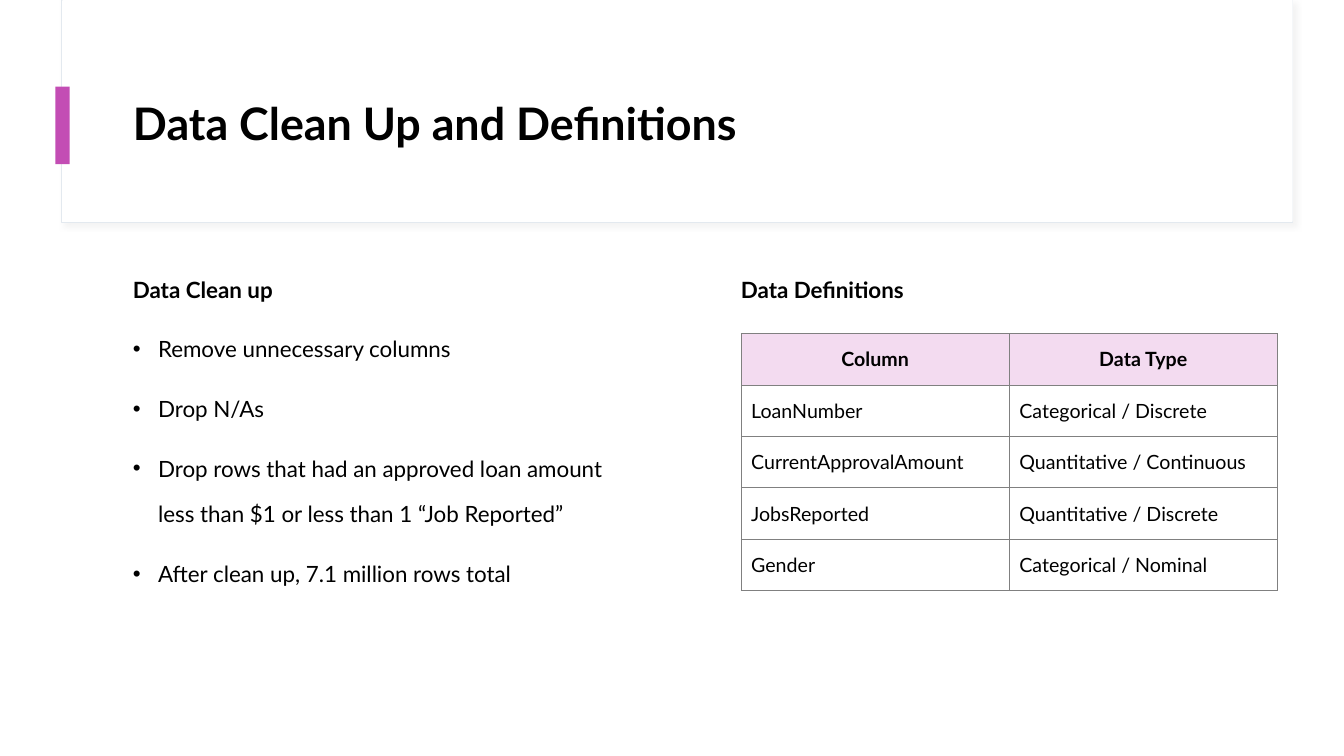
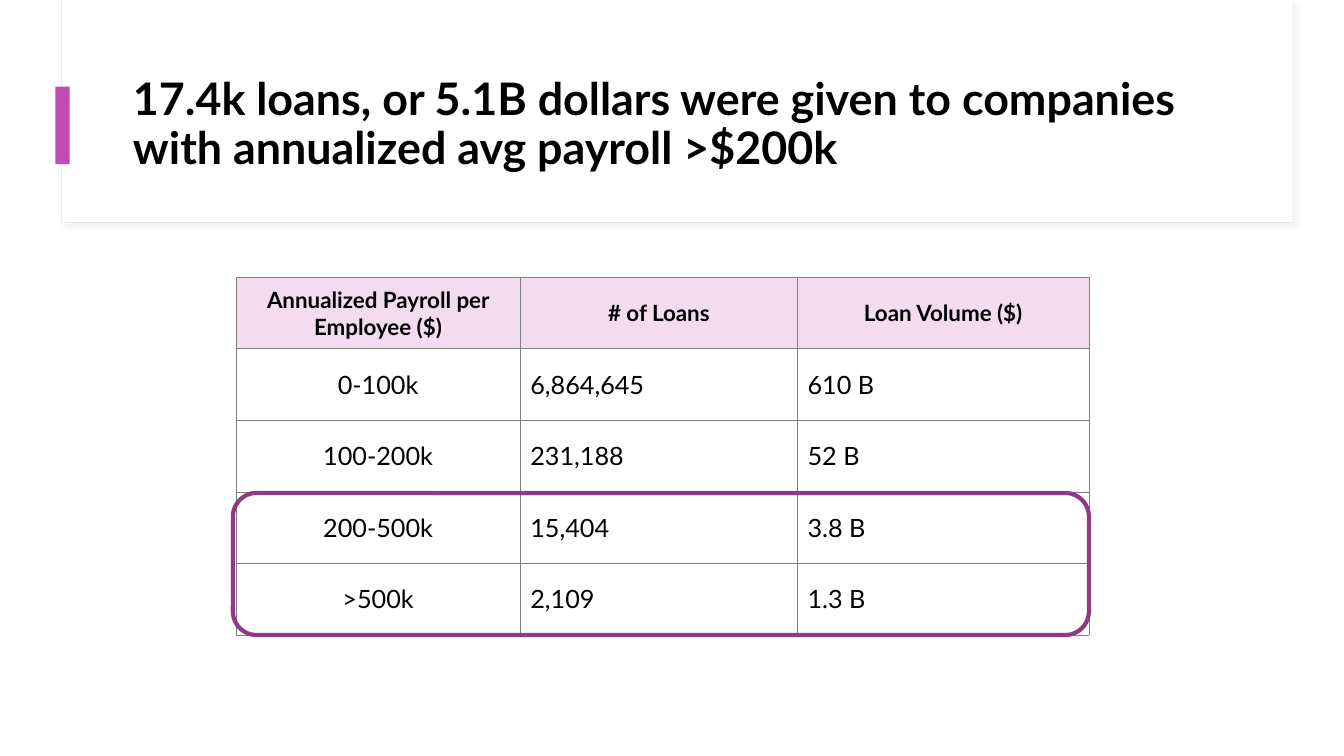
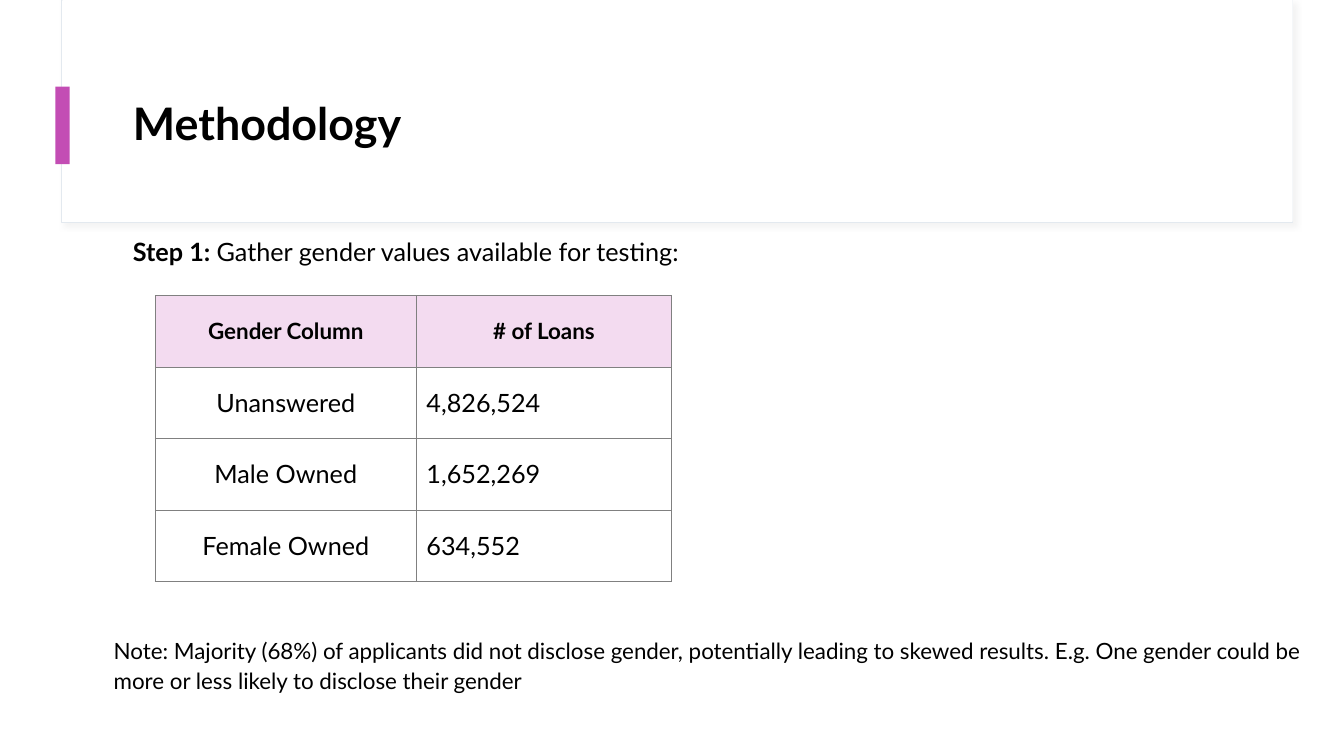
"""Build three slides on loan data: clean up, payroll bands and methodology."""
import dataclasses
import pptx
import pptx.util
import pptx.dml.color
import pptx.enum.shapes
import pptx.enum.text
import pptx.oxml
import pptx.oxml.ns

Inches, Pt = pptx.util.Inches, pptx.util.Pt
Shape = pptx.enum.shapes.MSO_SHAPE
Align = pptx.enum.text.PP_ALIGN
Anchor = pptx.enum.text.MSO_ANCHOR


@dataclasses.dataclass(frozen=True)
class Theme:
    font: str = "Lato"
    ink: str = "000000"
    paper: str = "FFFFFF"
    edge: str = "E3E9EF"
    shade: str = "D9D9D9"
    accent: str = "C34DB4"
    head: str = "F3DBF0"
    grid: str = "808080"
    ring: str = "903985"
    title: int = 32
    large: int = 18
    text: int = 16
    small: int = 14


THEME = Theme()

CLEAN = {
    "title": "Data Clean Up and Definitions",
    "left": "Data Clean up",
    "right": "Data Definitions",
    "items": [
        "Remove unnecessary columns",
        "Drop N/As",
        "Drop rows that had an approved loan amount less than $1 or less than 1 “Job Reported”",
        "After clean up, 7.1 million rows total",
    ],
    "rows": [
        ("Column", "Data Type"),
        ("LoanNumber", "Categorical / Discrete"),
        ("CurrentApprovalAmount", "Quantitative / Continuous"),
        ("JobsReported", "Quantitative / Discrete"),
        ("Gender", "Categorical / Nominal"),
    ],
}
PAYROLL = {
    "title": "17.4k loans, or 5.1B dollars were given to companies with annualized avg payroll >$200k",
    "rows": [
        ("Annualized Payroll per Employee ($)", "# of Loans", "Loan Volume ($)"),
        ("0-100k", "6,864,645", "610 B"),
        ("100-200k", "231,188", "52 B"),
        ("200-500k", "15,404", "3.8 B"),
        (">500k", "2,109", "1.3 B"),
    ],
}
METHOD = {
    "title": "Methodology",
    "step": [("Step 1: ", True), ("Gather gender values available for testing:", False)],
    "rows": [
        ("Gender Column", "# of Loans"),
        ("Unanswered", "4,826,524"),
        ("Male Owned", "1,652,269"),
        ("Female Owned", "634,552"),
    ],
    "note": "Note: Majority (68%) of applicants did not disclose gender, potentially leading to "
            "skewed results. E.g. One gender could be more or less likely to disclose their gender",
}


def color(code):
    return pptx.dml.color.RGBColor.from_string(code)


def node(xml):
    return pptx.oxml.parse_xml(xml.replace(">", f" {pptx.oxml.ns.nsdecls('a')}>", 1))


def write(para, runs, size):
    for text, bold in runs:
        run = para.add_run()
        run.text = text
        font = run.font
        font.name, font.size, font.bold = THEME.font, Pt(size), bold
        font.color.rgb = color(THEME.ink)


def say(slide, box, paras, size, lead, gap=0, anchor=Anchor.TOP):
    frame = slide.shapes.add_textbox(*map(Inches, box)).text_frame
    frame.word_wrap = True
    frame.vertical_anchor = anchor
    for num, (runs, dot) in enumerate(paras):
        para = frame.add_paragraph() if num else frame.paragraphs[0]
        para.line_spacing = lead
        para.space_before = Pt(gap)
        write(para, runs, size)
        if dot:
            props = para._p.get_or_add_pPr()
            props.set("marL", str(Inches(0.25)))
            props.set("indent", str(Inches(-0.25)))
            props.append(node('<a:buFont typeface="Arial"/>'.replace("/>", "></a:buFont>")))
            props.append(node('<a:buChar char="•"></a:buChar>'))


def block(slide, box, fill=None, line=None, width=0.75, kind=Shape.RECTANGLE):
    item = slide.shapes.add_shape(kind, *map(Inches, box))
    item.shadow.inherit = False
    if fill:
        item.fill.solid()
        item.fill.fore_color.rgb = color(fill)
    else:
        item.fill.background()
    if line:
        item.line.color.rgb = color(line)
        item.line.width = Pt(width)
    else:
        item.line.fill.background()
    return item


def start(deck, title):
    slide = deck.slides.add_slide(deck.slide_layouts[6])
    panel = block(slide, (0.61, 0, 12.21, 2.21), THEME.paper, THEME.edge)
    glow = node(
        f'<a:outerShdw blurRad="{Pt(4)}" dist="{Pt(3)}" dir="2700000" algn="tl" rotWithShape="0">'
        f'<a:srgbClr val="{THEME.shade}"><a:alpha val="30000"/></a:srgbClr></a:outerShdw>')
    panel._element.spPr.find(pptx.oxml.ns.qn("a:effectLst")).append(glow)
    block(slide, (0.62, 0, 12.2, 2.2), THEME.paper)
    block(slide, (0.55, 0.86, 0.14, 0.77), THEME.accent)
    say(slide, (1.22, 0.6, 11.12, 1.29), [([(title, True)], False)],
        THEME.title, 0.9, anchor=Anchor.MIDDLE)
    return slide


def rule(cell):
    props = cell._tc.get_or_add_tcPr()
    for side in "LRTB":
        props.append(node(
            f'<a:ln{side} w="{Pt(0.5)}"><a:solidFill><a:srgbClr val="{THEME.grid}"/>'
            f'</a:solidFill></a:ln{side}>'))


def grid(slide, spot, rows, cols, high, sizes, first):
    left, top = spot
    table = slide.shapes.add_table(
        len(rows), len(cols), Inches(left), Inches(top),
        Inches(sum(cols)), Inches(high * len(rows))).table
    table.first_row = table.horz_banding = False
    for col, wide in zip(table.columns, cols):
        col.width = Inches(wide)
    for y, row in enumerate(rows):
        table.rows[y].height = Inches(high)
        for x, text in enumerate(row):
            cell = table.cell(y, x)
            rule(cell)
            mid = y == 0 or (x == 0 and first == Align.CENTER)
            cell.vertical_anchor = Anchor.MIDDLE
            cell.margin_left = Inches(0.1)
            cell.margin_right = Inches(0.1 if mid else 0.07)
            cell.margin_top = cell.margin_bottom = Inches(0.05)
            if y:
                cell.fill.background()
            else:
                cell.fill.solid()
                cell.fill.fore_color.rgb = color(THEME.head)
            para = cell.text_frame.paragraphs[0]
            para.alignment = Align.CENTER if mid else Align.LEFT
            write(para, [(text, y == 0)], sizes[min(y, 1)])


def clean(deck):
    slide = start(deck, CLEAN["title"])
    paras = [([(CLEAN["left"], True)], False)]
    paras += [([(item, False)], True) for item in CLEAN["items"]]
    say(slide, (1.22, 2.5, 5.1, 4.25), paras, THEME.text, 1.7, 10)
    grid(slide, (7.35, 3.31), CLEAN["rows"], (2.66, 2.66), 0.51,
         (THEME.small, THEME.small), Align.LEFT)
    say(slide, (7.25, 2.5, 3.29, 0.5), [([(CLEAN["right"], True)], False)], THEME.text, 1.7)


def payroll(deck):
    slide = start(deck, PAYROLL["title"])
    grid(slide, (2.34, 2.75), PAYROLL["rows"], (2.82, 2.75, 2.89), 0.71,
         (THEME.text, THEME.large), Align.CENTER)
    block(slide, (2.31, 4.89, 8.49, 1.41), line=THEME.ring, width=3,
          kind=Shape.ROUNDED_RECTANGLE)


def method(deck):
    slide = start(deck, METHOD["title"])
    say(slide, (1.22, 2.27, 10.21, 0.5), [(METHOD["step"], False)], THEME.large, 1.1, 10)
    grid(slide, (1.54, 2.93), METHOD["rows"], (2.59, 2.53), 0.71,
         (THEME.text, THEME.large), Align.CENTER)
    say(slide, (1.03, 6.25, 12, 0.8), [([(METHOD["note"], False)], False)], THEME.text, 1.1, 5)


def main():
    deck = pptx.Presentation()
    deck.slide_width, deck.slide_height = Inches(13.33), Inches(7.5)
    for build in (clean, payroll, method):
        build(deck)
    deck.save("out.pptx")


if __name__ == "__main__":
    main()
